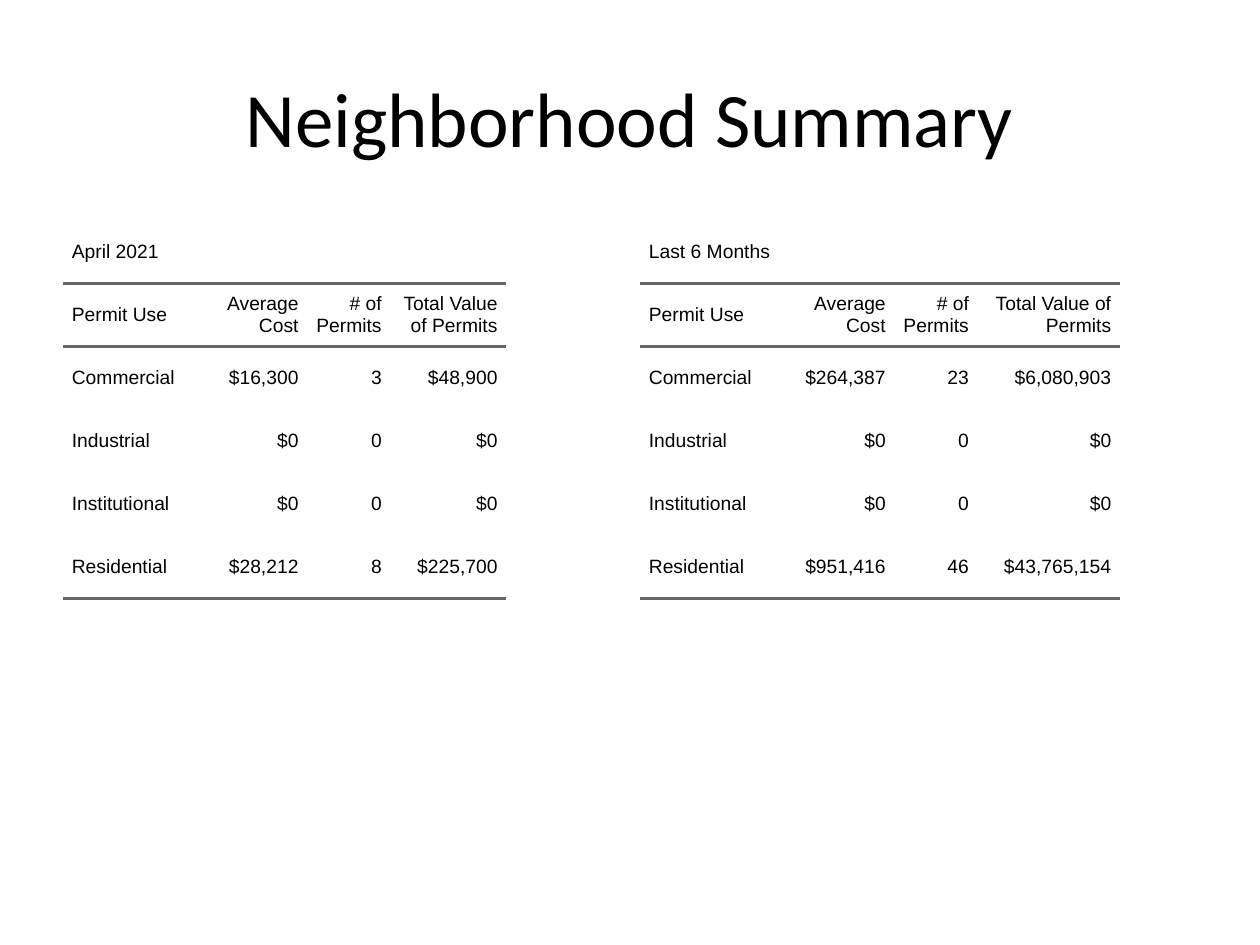
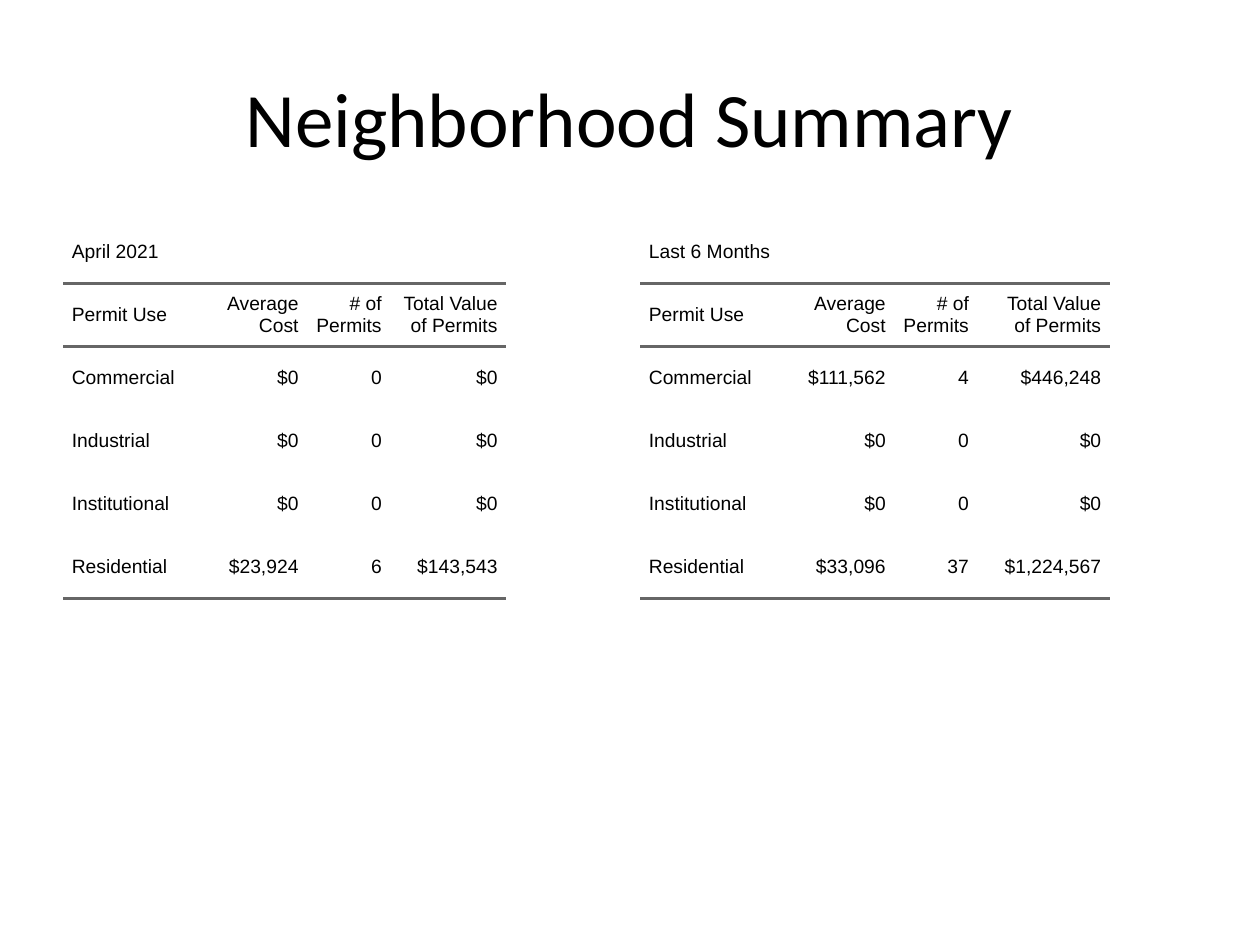
from lxml import etree
from pptx import Presentation
from pptx.dml.color import RGBColor
from pptx.enum.text import MSO_ANCHOR, PP_ALIGN
from pptx.oxml.ns import qn
from pptx.util import Emu, Pt

PX = 9144  # 100 px to the inch
BLACK = RGBColor(0x00, 0x00, 0x00)
WHITE = RGBColor(0xFF, 0xFF, 0xFF)
RULE_GREY = RGBColor(0x66, 0x66, 0x66)
LEFT, RIGHT, CENTER = PP_ALIGN.LEFT, PP_ALIGN.RIGHT, PP_ALIGN.CENTER
MIDDLE = MSO_ANCHOR.MIDDLE
PLAIN_STYLE = "{2D5ABB26-0587-4C30-8999-92F81FD0307C}"

TITLE = "Neighborhood Summary"
TITLE_FONT = {"name": "Calibri", "size": Pt(44)}
TABLE_FONT = {"name": "Arial", "size": Pt(11)}
CELL_FORMAT = {
    "margin_left": Emu(7 * PX), "margin_right": Emu(7 * PX),
    "margin_top": 0, "margin_bottom": 0, "vertical_anchor": MIDDLE,
}
TABLE_FLAGS = {"first_row": False, "horz_banding": False}
TABLE_TOP, ROW_HEIGHT = 175, 50
HEADER = ("Permit Use", "Average Cost", "# of Permits", "Total Value of Permits")
USES = ("Commercial", "Industrial", "Institutional", "Residential")
NONE = ("$0", "0", "$0")

# Each slide: period, left edge, column widths, figures by permit use
SLIDES = [
    [
        ("April 2021", 50, (110, 84, 66, 92),
         [("$16,300", "3", "$48,900"), NONE, NONE, ("$28,212", "8", "$225,700")]),
        ("Last 6 Months", 508, (110, 92, 66, 113),
         [("$264,387", "23", "$6,080,903"), NONE, NONE,
          ("$951,416", "46", "$43,765,154")]),
    ],
    [
        ("April 2021", 50, (110, 84, 66, 92),
         [NONE, NONE, NONE, ("$23,924", "6", "$143,543")]),
        ("Last 6 Months", 508, (110, 92, 66, 105),
         [("$111,562", "4", "$446,248"), NONE, NONE,
          ("$33,096", "37", "$1,224,567")]),
    ],
]


def write(frame, text, font, align):
    para = frame.paragraphs[0]
    para.alignment = align
    span = para.add_run()
    span.text = text
    span.font.color.rgb = BLACK
    for name, value in font.items():
        setattr(span.font, name, value)


def add_rule(cell, side):
    line = etree.SubElement(cell._tc.get_or_add_tcPr(), qn(f"a:{side}"), w=str(Pt(2)))
    fill = etree.SubElement(line, qn("a:solidFill"))
    etree.SubElement(fill, qn("a:srgbClr"), val=str(RULE_GREY))


deck = Presentation()
deck.slide_width, deck.slide_height = Emu(1000 * PX), Emu(750 * PX)

for permit_tables in SLIDES:
    page = deck.slides.add_slide(deck.slide_layouts[6])
    page.background.fill.solid()
    page.background.fill.fore_color.rgb = WHITE

    # Permit tables
    for period, left, widths, figures in permit_tables:
        rows = [(period,), HEADER]
        rows += [(use, *values) for use, values in zip(USES, figures)]
        table = page.shapes.add_table(
            len(rows), len(widths), Emu(left * PX), Emu(TABLE_TOP * PX),
            Emu(sum(widths) * PX), Emu(len(rows) * ROW_HEIGHT * PX)).table
        table._tbl.tblPr.find(qn("a:tableStyleId")).text = PLAIN_STYLE
        for name, value in TABLE_FLAGS.items():
            setattr(table, name, value)
        for column, width in zip(table.columns, widths):
            column.width = Emu(width * PX)
        table.cell(0, 0).merge(table.cell(0, len(widths) - 1))

        for row, texts in enumerate(rows):
            for col, text in enumerate(texts):
                cell = table.cell(row, col)
                for name, value in CELL_FORMAT.items():
                    setattr(cell, name, value)
                write(cell.text_frame, text, TABLE_FONT, RIGHT if col else LEFT)
                # Rules around the header and under the last row
                if row == 1:
                    add_rule(cell, "lnT")
                if row in (1, len(rows) - 1):
                    add_rule(cell, "lnB")
                cell.fill.background()

    # Title
    box = page.shapes.add_textbox(Emu(50 * PX), Emu(30 * PX), Emu(900 * PX), Emu(125 * PX))
    box.text_frame.word_wrap = True
    box.text_frame.vertical_anchor = MIDDLE
    write(box.text_frame, TITLE, TITLE_FONT, CENTER)

deck.save("out.pptx")
